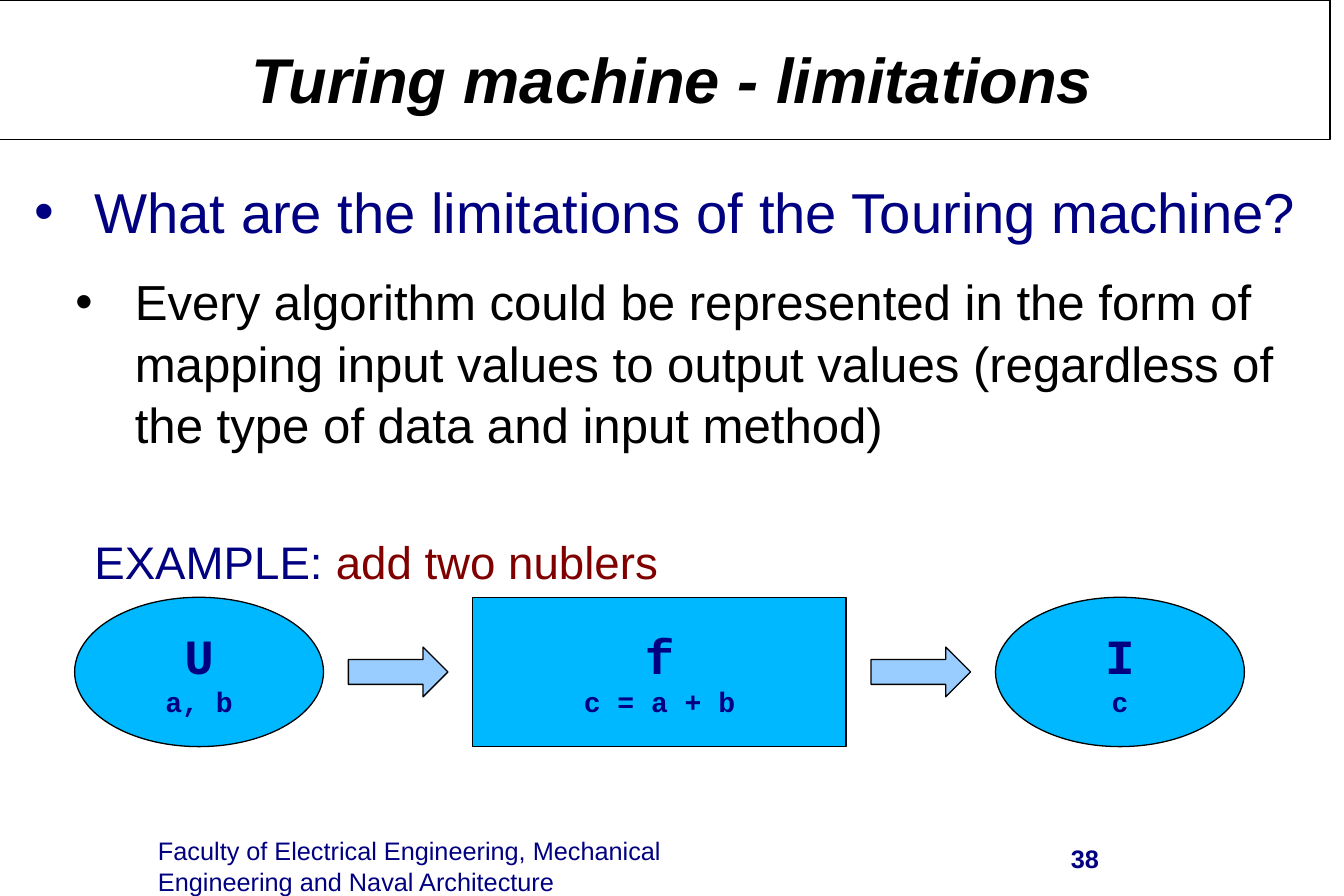
from lxml.etree import SubElement
from pptx import Presentation
from pptx.dml.color import RGBColor
from pptx.enum.shapes import MSO_SHAPE
from pptx.enum.text import MSO_ANCHOR, PP_ALIGN
from pptx.oxml.ns import qn
from pptx.util import Cm, Inches, Pt

theme = dict(
    sans="Arial", mono="Courier New",
    navy="000080", black="000000", red="800000", white="FFFFFF",
    node="00B8FF", arrow="99CCFF",
    title=36, lead=32, point=28, sample=26, sign=28, note=16, foot=14.4,
)

deck = Presentation()
deck.slide_width, deck.slide_height = Cm(27), Cm(18)
col, row = deck.slide_width / 54, deck.slide_height / 36
slide = deck.slides.add_slide(deck.slide_layouts[6])


def draw(kind, x, y, w, h, fill=None):
    area = [int(n) for n in (x * col, y * row, w * col, h * row)]
    if fill:
        shape = slide.shapes.add_shape(kind, *area)
        shape.shadow.inherit = False
        shape.fill.solid()
        shape.fill.fore_color.rgb = RGBColor.from_string(theme[fill])
        shape.line.color.rgb = RGBColor.from_string(theme["black"])
        shape.line.width = Pt(0)
    else:
        shape = slide.shapes.add_textbox(*area)
    frame = shape.text_frame
    frame.word_wrap = True
    frame.margin_left = frame.margin_right = 0
    frame.margin_top = frame.margin_bottom = 0
    frame.vertical_anchor = MSO_ANCHOR.MIDDLE
    return frame


def write(para, text, size, color, face="sans", bold=False, slant=False):
    run = para.add_run()
    run.text = text
    font = run.font
    font.name, font.size = theme[face], Pt(theme[size])
    font.bold, font.italic = bold, slant
    font.color.rgb = RGBColor.from_string(theme[color])


draw(MSO_SHAPE.RECTANGLE, -0.56, 0, 54, 5.6, "white")

head = draw(None, 0, 0.2, 54, 5.9).paragraphs[0]
head.alignment = PP_ALIGN.CENTER
write(head, "Turing machine - limitations", "title", "black", bold=True, slant=True)

body = draw(None, 1, 7, 52, 16.5)
body.vertical_anchor = MSO_ANCHOR.TOP
points = [
    (0.55, -0.47, 0, 14.2, True,
     [("What are the limitations of the Touring machine?", "lead", "navy")]),
    (0.87, -0.47, 0, 11.3, True,
     [("Every algorithm could be represented in the form of mapping input "
       "values to output values (regardless of the type of data and input method)",
       "point", "black")]),
    (0.55, 0, 33, 0, False,
     [("EXAMPLE:", "sample", "navy"), (" add two nublers", "sample", "red")]),
]
for i, (left, hang, before, after, dot, runs) in enumerate(points):
    para = body.add_paragraph() if i else body.paragraphs[0]
    para.line_spacing = 1.04
    para.space_after = Pt(after)
    if before:
        para.space_before = Pt(before)
    props = para._p.get_or_add_pPr()
    props.set("marL", str(Inches(left)))
    props.set("indent", str(Inches(hang)))
    if dot:
        SubElement(props, qn("a:buFont")).set("typeface", theme["sans"])
        SubElement(props, qn("a:buChar")).set("char", "•")
    for run in runs:
        write(para, *run)

nodes = [
    (MSO_SHAPE.OVAL, 3, 10, "U", "a, b"),
    (MSO_SHAPE.RECTANGLE, 19, 15, "f", "c = a + b"),
    (MSO_SHAPE.OVAL, 40, 10, "I", "c"),
]
for kind, x, w, sign, note in nodes:
    frame = draw(kind, x, 24, w, 6, "node")
    pair = [frame.paragraphs[0], frame.add_paragraph()]
    for para, text, size in zip(pair, (sign, note), ("sign", "note")):
        para.alignment = PP_ALIGN.CENTER
        write(para, text, size, "navy", "mono", bold=True)
    if sign != "I":
        draw(MSO_SHAPE.RIGHT_ARROW, x + w + 1, 26, 4, 2, "arrow")

school = draw(None, 6.35, 33.5, 20.7, 2.5)
school.vertical_anchor = MSO_ANCHOR.TOP
school.paragraphs[0].line_spacing = 1.04
write(school.paragraphs[0],
      "Faculty of Electrical Engineering, Mechanical Engineering and Naval Architecture",
      "foot", "navy")

page = draw(None, 29.3, 33.3, 14.85, 2.4).paragraphs[0]
page.alignment = PP_ALIGN.RIGHT
write(page, "38", "foot", "navy", bold=True)

deck.save("out.pptx")
